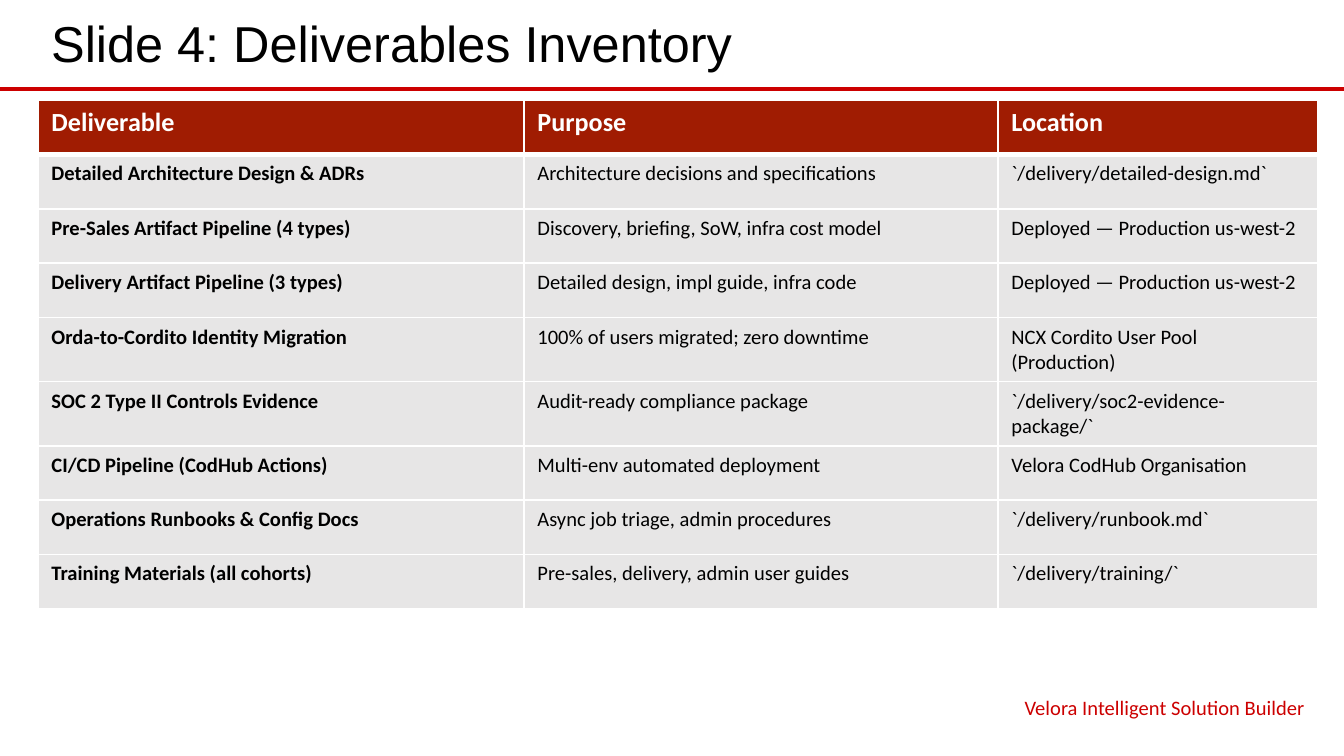
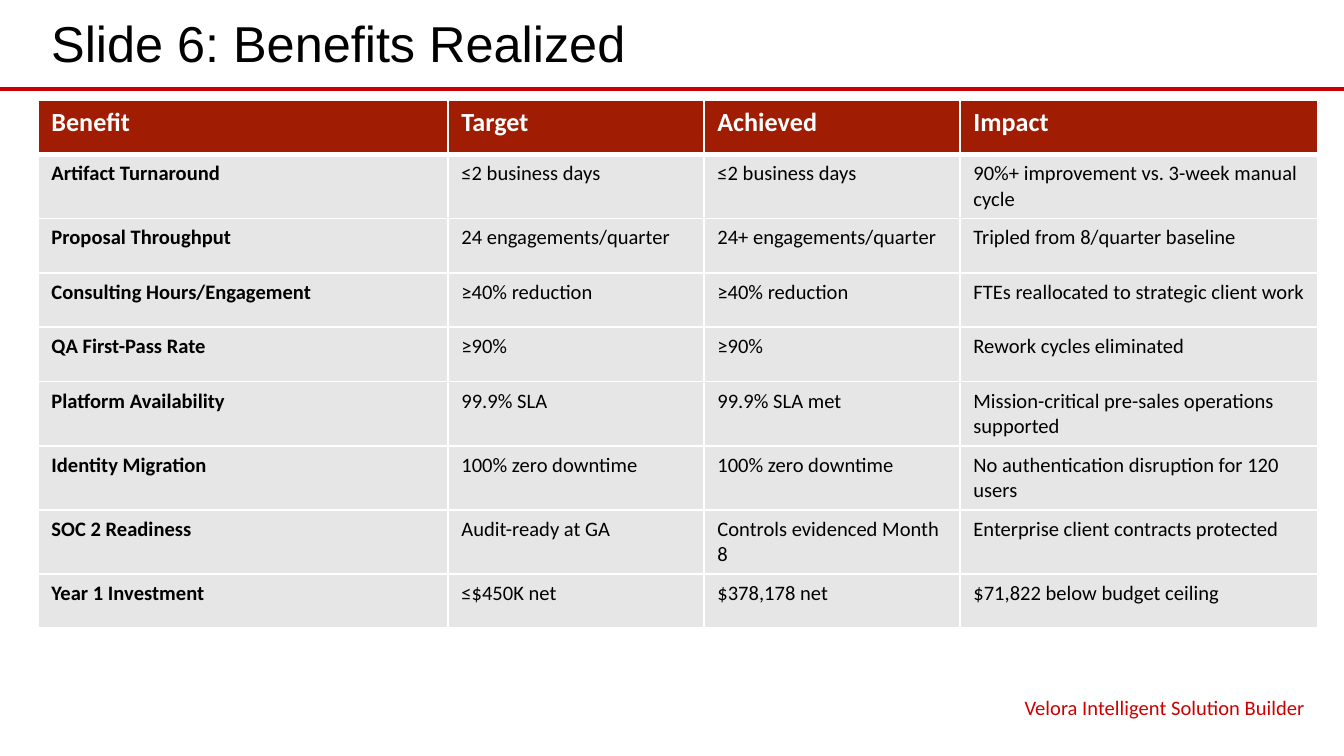
import lxml.etree
import pptx
import pptx.dml.color
import pptx.enum.shapes
import pptx.enum.text
import pptx.oxml.ns
import pptx.util

WIDTH, HEIGHT = 1344, 756
LEFT, CONTENT_WIDTH = 38, 1280
FOOTER = "Velora Intelligent Solution Builder"


def px(n):
    """Convert px to EMU, with the slide 10 inches wide."""
    return round(n * 9144000 / WIDTH)


def rgb(value):
    return pptx.dml.color.RGBColor.from_string(value)


def add_element(parent, tag, **attributes):
    return lxml.etree.SubElement(parent, pptx.oxml.ns.qn(tag), attributes)


class Deck:
    RED, HEADER, BODY, BLACK, WHITE = "CC0000", "A01C02", "E7E6E6", "000000", "FFFFFF"
    TITLE_FONT, TEXT_FONT = "Arial", "Calibri"

    def __init__(self):
        self.prs = pptx.Presentation()
        self.prs.slide_width, self.prs.slide_height = px(WIDTH), px(HEIGHT)
        self.s = None

    def slide(self, title):
        self.s = self.prs.slides.add_slide(self.prs.slide_layouts[6])
        self.rule(89)
        self.text(title, LEFT, 3, CONTENT_WIDTH, 78, 27, self.TITLE_FONT, self.BLACK,
                  anchor=pptx.enum.text.MSO_ANCHOR.MIDDLE)
        self.text(FOOTER, 845, 688, 473, 35, 11, self.TEXT_FONT, self.RED,
                  align=pptx.enum.text.PP_ALIGN.RIGHT)

    def rule(self, y):
        """Draw a red line across the whole slide."""
        line = self.s.shapes.add_connector(
            pptx.enum.shapes.MSO_CONNECTOR.STRAIGHT, 0, px(y), px(WIDTH), px(y))
        line.line.color.rgb = rgb(self.RED)
        line.line.width = pptx.util.Pt(2.25)
        add_element(line._element.spPr, "a:effectLst")

    def font(self, p, size, name, color, bold=False):
        p.font.size = pptx.util.Pt(size)
        p.font.name = name
        p.font.bold = bold
        p.font.color.rgb = rgb(color)

    def text(self, text, x, y, w, h, size, name, color,
             align=pptx.enum.text.PP_ALIGN.LEFT, anchor=pptx.enum.text.MSO_ANCHOR.TOP):
        tf = self.s.shapes.add_textbox(px(x), px(y), px(w), px(h)).text_frame
        tf.word_wrap = True
        tf.vertical_anchor = anchor
        p = tf.paragraphs[0]
        p.text = text
        p.alignment = align
        self.font(p, size, name, color)

    def borders(self, cell, top, bottom):
        """Add white borders; top and bottom are widths in points."""
        tcPr = cell._tc.get_or_add_tcPr()
        for side, width in (("L", 1), ("R", 1), ("T", top), ("B", bottom)):
            ln = add_element(tcPr, f"a:ln{side}", w=str(pptx.util.Pt(width)))
            add_element(add_element(ln, "a:solidFill"), "a:srgbClr", val=self.WHITE)

    def table(self, widths, rows):
        """Draw a table whose first row is the header and first column is bold."""
        y, height = 100, 490
        table = self.s.shapes.add_table(len(rows), len(widths), px(LEFT), px(y),
                                        px(CONTENT_WIDTH), px(height)).table
        table.horz_banding = False
        for column, width in zip(table.columns, widths):
            column.width = px(width)
        for i, row in enumerate(rows):
            table.rows[i].height = px(height / len(rows))
            header = i == 0
            for j, text in enumerate(row):
                cell = table.cell(i, j)
                cell.margin_bottom = px(8)
                self.borders(cell, top=3 if i == 1 else 1, bottom=3 if header else 1)
                cell.fill.solid()
                cell.fill.fore_color.rgb = rgb(self.HEADER if header else self.BODY)
                p = cell.text_frame.paragraphs[0]
                p.text = text
                self.font(p, 14 if header else 11, self.TEXT_FONT,
                          self.WHITE if header else self.BLACK, bold=header or j == 0)


DELIVERABLES = [
    ("Deliverable", "Purpose", "Location"),
    ("Detailed Architecture Design & ADRs", "Architecture decisions and specifications",
     "`/delivery/detailed-design.md`"),
    ("Pre-Sales Artifact Pipeline (4 types)", "Discovery, briefing, SoW, infra cost model",
     "Deployed — Production us-west-2"),
    ("Delivery Artifact Pipeline (3 types)", "Detailed design, impl guide, infra code",
     "Deployed — Production us-west-2"),
    ("Orda-to-Cordito Identity Migration", "100% of users migrated; zero downtime",
     "NCX Cordito User Pool (Production)"),
    ("SOC 2 Type II Controls Evidence", "Audit-ready compliance package",
     "`/delivery/soc2-evidence-package/`"),
    ("CI/CD Pipeline (CodHub Actions)", "Multi-env automated deployment",
     "Velora CodHub Organisation"),
    ("Operations Runbooks & Config Docs", "Async job triage, admin procedures",
     "`/delivery/runbook.md`"),
    ("Training Materials (all cohorts)", "Pre-sales, delivery, admin user guides",
     "`/delivery/training/`"),
]

BENEFITS = [
    ("Benefit", "Target", "Achieved", "Impact"),
    ("Artifact Turnaround", "≤2 business days", "≤2 business days",
     "90%+ improvement vs. 3-week manual cycle"),
    ("Proposal Throughput", "24 engagements/quarter", "24+ engagements/quarter",
     "Tripled from 8/quarter baseline"),
    ("Consulting Hours/Engagement", "≥40% reduction", "≥40% reduction",
     "FTEs reallocated to strategic client work"),
    ("QA First-Pass Rate", "≥90%", "≥90%", "Rework cycles eliminated"),
    ("Platform Availability", "99.9% SLA", "99.9% SLA met",
     "Mission-critical pre-sales operations supported"),
    ("Identity Migration", "100% zero downtime", "100% zero downtime",
     "No authentication disruption for 120 users"),
    ("SOC 2 Readiness", "Audit-ready at GA", "Controls evidenced Month 8",
     "Enterprise client contracts protected"),
    ("Year 1 Investment", "≤$450K net", "$378,178 net", "$71,822 below budget ceiling"),
]


def main():
    deck = Deck()
    deck.slide("Slide 4: Deliverables Inventory")
    deck.table((486, 474, 320), DELIVERABLES)
    deck.slide("Slide 6: Benefits Realized")
    deck.table((410, 256, 256, 358), BENEFITS)
    deck.prs.save("out.pptx")


if __name__ == "__main__":
    main()
